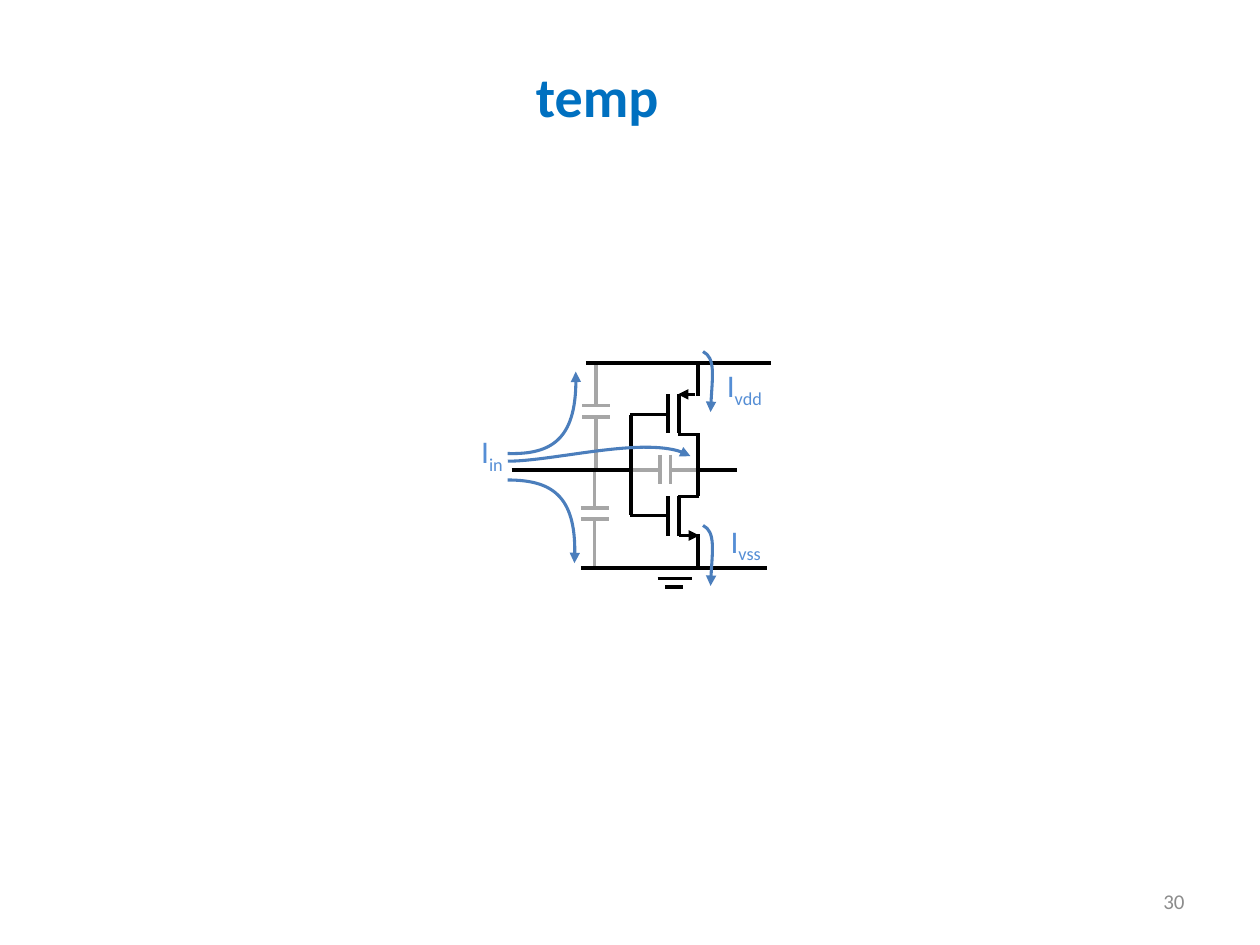
from lxml.etree import SubElement
from pptx import Presentation
from pptx.dml.color import RGBColor
from pptx.enum.shapes import MSO_CONNECTOR
from pptx.enum.text import MSO_ANCHOR, PP_ALIGN
from pptx.oxml.ns import qn
from pptx.util import Inches, Pt

BLACK, GRAY, BLUE = "000000", "A6A6A6", "4B7EBC"
LABEL_BLUE = "558ED5"
GATE_X, CHANNEL_X, DRAIN_X = 5.3, 5.39, 5.54
INPUT_X, MIDDLE_Y = 5.01, 3.73
SUPPLY_Y, GROUND_Y = 2.88, 4.51


def color(hex_string):
    return RGBColor.from_string(hex_string)


def style_line(shape, line_color, width, arrow):
    shape.line.color.rgb = color(line_color)
    shape.line.width = Pt(width)
    if arrow:
        SubElement(shape.line._get_or_add_ln(), qn("a:tailEnd"), type="triangle")


def add_wire(slide, start, end, wire_color=BLACK, arrow=False):
    wire = slide.shapes.add_connector(
        MSO_CONNECTOR.STRAIGHT, *(Inches(value) for value in (*start, *end)))
    style_line(wire, wire_color, 2, arrow)
    SubElement(wire._element.spPr, qn("a:effectLst"))


def add_vertical_capacitor(slide, x, top, bottom, plate_y):
    plates = plate_y, plate_y + 0.09
    for y, end in zip(plates, (top, bottom)):
        add_wire(slide, (x - 0.11, y), (x + 0.11, y), GRAY)
        add_wire(slide, (x, y), (x, end), GRAY)


def add_horizontal_capacitor(slide, y, left, right, plate_x):
    plates = plate_x, plate_x + 0.08
    for x, end in zip(plates, (left, right)):
        add_wire(slide, (x, y - 0.12), (x, y + 0.11), GRAY)
        add_wire(slide, (x, y), (end, y), GRAY)


def add_transistor(slide, top, drain_y, gate_y):
    bottom = top + 0.31
    for x in (GATE_X, CHANNEL_X):
        add_wire(slide, (x, top), (x, bottom))
    add_wire(slide, (5.55, drain_y), (5.38, drain_y))
    add_wire(slide, (5, gate_y), (GATE_X, gate_y))


def add_current_arrow(slide, *curve):
    """Draw one cubic curve: its start, two control points, then the arrow's tip."""
    start, *others = [(Inches(x), Inches(y)) for x, y in curve]
    builder = slide.shapes.build_freeform(*start)
    builder.add_line_segments(others, close=False)
    arrow = builder.convert_to_shape()
    segments = list(arrow._element.iter(qn("a:lnTo")))
    bezier = SubElement(segments[0].getparent(), qn("a:cubicBezTo"))
    for segment in segments:
        bezier.append(segment[0])
        segment.getparent().remove(segment)
    arrow.fill.background()
    arrow.shadow.inherit = False
    style_line(arrow, BLUE, 1.75, arrow=True)


def set_font(paragraph, size, font_color, bold=False):
    font = paragraph.font
    font.name, font.size, font.bold = "Calibri", Pt(size), bold
    font.color.rgb = color(font_color)


def add_text(slide, box, text, size, font_color):
    frame = slide.shapes.add_textbox(*(Inches(value) for value in box)).text_frame
    frame.word_wrap = True
    paragraph = frame.paragraphs[0]
    paragraph.add_run().text = text
    set_font(paragraph, size, font_color)
    return frame


def add_current_label(slide, left, top, width, subscript):
    frame = add_text(slide, (left, top, width, 0.4), "I", 18, LABEL_BLUE)
    run = frame.paragraphs[0].add_run()
    run.text = subscript
    run.font._element.set("baseline", "-25000")


def add_title(slide, text):
    title = slide.shapes.title
    title.left, title.top = Inches(1.77), Inches(0.44)
    title.width, title.height = Inches(5.94), Inches(0.64)
    title.text_frame.text = text
    title.text_frame.vertical_anchor = MSO_ANCHOR.TOP
    paragraph = title.text_frame.paragraphs[0]
    paragraph.alignment = PP_ALIGN.CENTER
    set_font(paragraph, 32, "0070C0", bold=True)


def add_page_number(slide, number):
    frame = add_text(slide, (7.17, 6.95, 2.33, 0.4), number, 12, "8C8C8C")
    frame.vertical_anchor = MSO_ANCHOR.MIDDLE
    frame.paragraphs[0].alignment = PP_ALIGN.RIGHT


def add_inverter(slide):
    add_vertical_capacitor(slide, 4.73, SUPPLY_Y, MIDDLE_Y, 3.22)
    add_vertical_capacitor(slide, 4.72, MIDDLE_Y, GROUND_Y, 4.03)
    add_horizontal_capacitor(slide, MIDDLE_Y, 4.83, 5.64, 5.24)

    add_transistor(slide, top=3.94, drain_y=3.94, gate_y=4.09)
    add_wire(slide, (CHANNEL_X, 4.25), (5.55, 4.25), arrow=True)
    add_transistor(slide, top=3.13, drain_y=3.45, gate_y=3.29)
    add_wire(slide, (5.52, 3.13), (5.38, 3.13), arrow=True)

    for x, top, bottom in ((DRAIN_X, SUPPLY_Y, 3.14), (DRAIN_X, 3.44, 3.94),
                           (DRAIN_X, 4.24, GROUND_Y), (INPUT_X, 3.29, 4.09)):
        add_wire(slide, (x, top), (x, bottom))
    for y, left, right in ((SUPPLY_Y, 4.65, 6.12), (GROUND_Y, 4.61, 6.09),
                           (4.59, 5.22, 5.49), (4.66, 5.28, 5.42),
                           (MIDDLE_Y, 4.06, 5.02), (MIDDLE_Y, 5.55, 5.85)):
        add_wire(slide, (left, y), (right, y))


def add_currents(slide):
    add_current_arrow(slide, (4.03, 3.81), (4.38, 3.81), (4.59, 3.95), (4.56, 4.47))
    add_current_arrow(slide, (4.03, 3.6), (4.38, 3.61), (4.59, 3.47), (4.57, 2.95))
    add_current_arrow(slide, (4.03, 3.66), (4.39, 3.66), (5.19, 3.44), (5.48, 3.62))
    for top in (2.79, 4.17):
        add_current_arrow(slide, (5.58, top), (5.68, top + 0.05),
                          (5.65, top + 0.23), (5.64, top + 0.48))
    add_current_label(slide, 3.72, 3.38, 0.46, "in")
    add_current_label(slide, 5.7, 4.09, 0.63, "vss")
    add_current_label(slide, 5.67, 2.86, 0.6, "vdd")


def main():
    presentation = Presentation()
    presentation.slide_width, presentation.slide_height = Inches(10), Inches(7.5)
    slide = presentation.slides.add_slide(presentation.slide_layouts[5])
    add_page_number(slide, "30")
    add_title(slide, "temp")
    add_inverter(slide)
    add_currents(slide)
    presentation.save("out.pptx")


if __name__ == "__main__":
    main()
